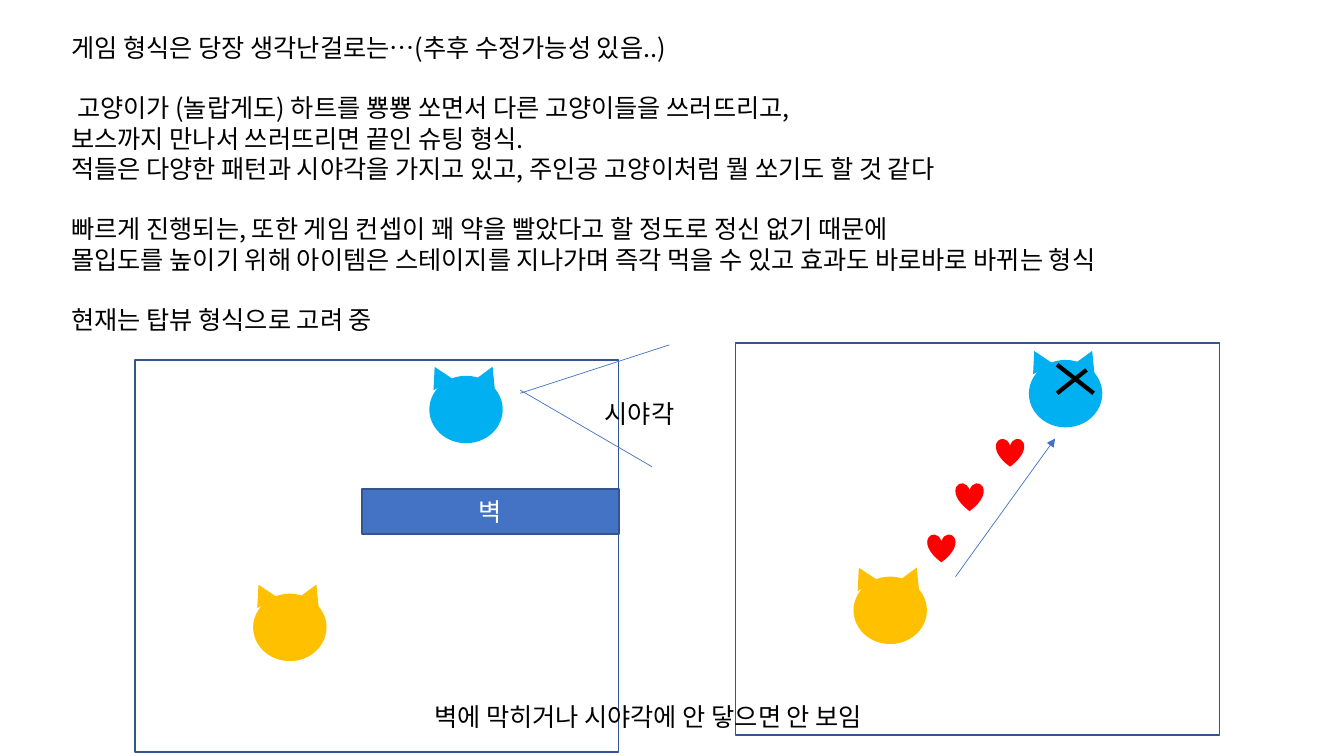
from lxml import etree
from pptx import Presentation
from pptx.dml.color import RGBColor
from pptx.enum.shapes import MSO_CONNECTOR, MSO_SHAPE
from pptx.enum.text import MSO_ANCHOR, MSO_AUTO_SIZE, PP_ALIGN
from pptx.oxml.ns import qn
from pptx.util import Cm, Pt

RECT, OVAL = MSO_SHAPE.RECTANGLE, MSO_SHAPE.OVAL
EAR, HEART = MSO_SHAPE.ISOSCELES_TRIANGLE, MSO_SHAPE.HEART
STRAIGHT = MSO_CONNECTOR.STRAIGHT
LEFT, CENTER = PP_ALIGN.LEFT, PP_ALIGN.CENTER
MIDDLE = MSO_ANCHOR.MIDDLE
GROW = MSO_AUTO_SIZE.SHAPE_TO_FIT_TEXT

FONT = "Noto Sans CJK KR"
LINE_PITCH = Pt(21.6)
COLORS = {
    "text": "000000",
    "wall_text": "FFFFFF",
    "wall": "4472C4",
    "outline": "325491",
    "hero": "FFC000",
    "enemy": "00B0F0",
    "heart": "FF0000",
}
RGB = {name: RGBColor.from_string(value) for name, value in COLORS.items()}

deck = Presentation()
deck.slide_width, deck.slide_height = Cm(33.87), Cm(19.05)
page = deck.slides.add_slide(deck.slide_layouts[6])


def add_figure(kind, left, top, width, height, fill=None, outline=None):
    """Add a flat preset shape, measured in centimetres."""
    figure = page.shapes.add_shape(kind, Cm(left), Cm(top), Cm(width), Cm(height))
    figure.shadow.inherit = False
    if fill:
        figure.fill.solid()
        figure.fill.fore_color.rgb = RGB[fill]
    else:
        figure.fill.background()
    if outline:
        figure.line.color.rgb = RGB[outline]
        figure.line.width = Pt(1)
    else:
        figure.line.fill.background()
    return figure


def write(box, blocks, color="text", align=LEFT):
    """Write blocks of lines, with one line of space between blocks."""
    frame = box.text_frame
    frame.word_wrap = True
    para = frame.paragraphs[0]
    for block_index, block in enumerate(blocks):
        for line_index, line in enumerate(block):
            if block_index or line_index:
                para = frame.add_paragraph()
            para.alignment = align
            para.line_spacing = LINE_PITCH
            if block_index and not line_index:
                para.space_before = LINE_PITCH
            span = para.add_run()
            span.text = line
            span.font.size = Pt(18)
            span.font.color.rgb = RGB[color]
            span.font.name = FONT
            east_asian = etree.SubElement(span.font._element, qn("a:ea"))
            east_asian.set("typeface", FONT)


# Game screens
for left, top in [(18.54, 8.64), (3.4, 9.07)]:
    add_figure(RECT, left, top, 12.19, 9.88, outline="outline")

# Cats: a head with two tilted ears
cats = [
    (21.51, 14.53, "hero"),
    (25.93, 9.07, "enemy"),
    (6.38, 14.96, "hero"),
    (10.82, 9.47, "enemy"),
]
for left, top, color in cats:
    add_figure(OVAL, left, top, 1.85, 1.7, color)
    for offset, tilt in [(-0.04, 333.3), (1.2, 24)]:
        ear = add_figure(EAR, left + offset, top - 0.25, 0.58, 0.51, color)
        ear.rotation = tilt

# Hearts shot at the enemy
for left, top in [(23.37, 13.46), (24.08, 12.17), (25.1, 11.05)]:
    add_figure(HEART, left, top, 0.71, 0.71, "heart")

# Shot direction, cross on the enemy, field of view
lines = [
    (24.08, 14.53, 26.59, 11.05, "wall", 0.5, True),
    (26.64, 9.91, 27.38, 9.32, "text", 3, False),
    (26.64, 9.19, 27.56, 9.91, "text", 3, False),
    (13.11, 9.91, 16.87, 8.69, "wall", 0.5, False),
    (13.11, 9.83, 16.43, 11.76, "wall", 0.5, False),
]
for x1, y1, x2, y2, color, weight, has_arrow in lines:
    line = page.shapes.add_connector(STRAIGHT, Cm(x1), Cm(y1), Cm(x2), Cm(y2))
    line.line.color.rgb = RGB[color]
    line.line.width = Pt(weight)
    if has_arrow:
        tip = etree.SubElement(line.line._get_or_add_ln(), qn("a:tailEnd"))
        tip.set("type", "triangle")
    etree.SubElement(line._element.spPr, qn("a:effectLst"))

wall = add_figure(RECT, 9.12, 12.32, 6.48, 1.14, "wall", "outline")
wall.text_frame.vertical_anchor = MIDDLE
write(wall, [["벽"]], "wall_text", CENTER)

# Description and labels
description = [
    ["게임 형식은 당장 생각난걸로는…(추후 수정가능성 있음..)"],
    [
        " 고양이가 (놀랍게도) 하트를 뿅뿅 쏘면서 다른 고양이들을 쓰러뜨리고,",
        "보스까지 만나서 쓰러뜨리면 끝인 슈팅 형식.",
        "적들은 다양한 패턴과 시야각을 가지고 있고, 주인공 고양이처럼 뭘 쏘기도 할 것 같다",
    ],
    [
        "빠르게 진행되는, 또한 게임 컨셉이 꽤 약을 빨았다고 할 정도로 정신 없기 때문에",
        "몰입도를 높이기 위해 아이템은 스테이지를 지나가며 즉각 먹을 수 있고 효과도 바로바로 바뀌는 형식",
    ],
    ["현재는 탑뷰 형식으로 고려 중"],
]
texts = [
    (1.55, 0.69, 29.74, 7.95, description),
    (14.99, 9.91, 2.79, 1.02, [["시야각"]]),
    (10.69, 17.55, 13, 1.02, [["벽에 막히거나 시야각에 안 닿으면 안 보임"]]),
]
for left, top, width, height, blocks in texts:
    box = page.shapes.add_textbox(Cm(left), Cm(top), Cm(width), Cm(height))
    box.text_frame.auto_size = GROW
    write(box, blocks)

deck.save("out.pptx")
